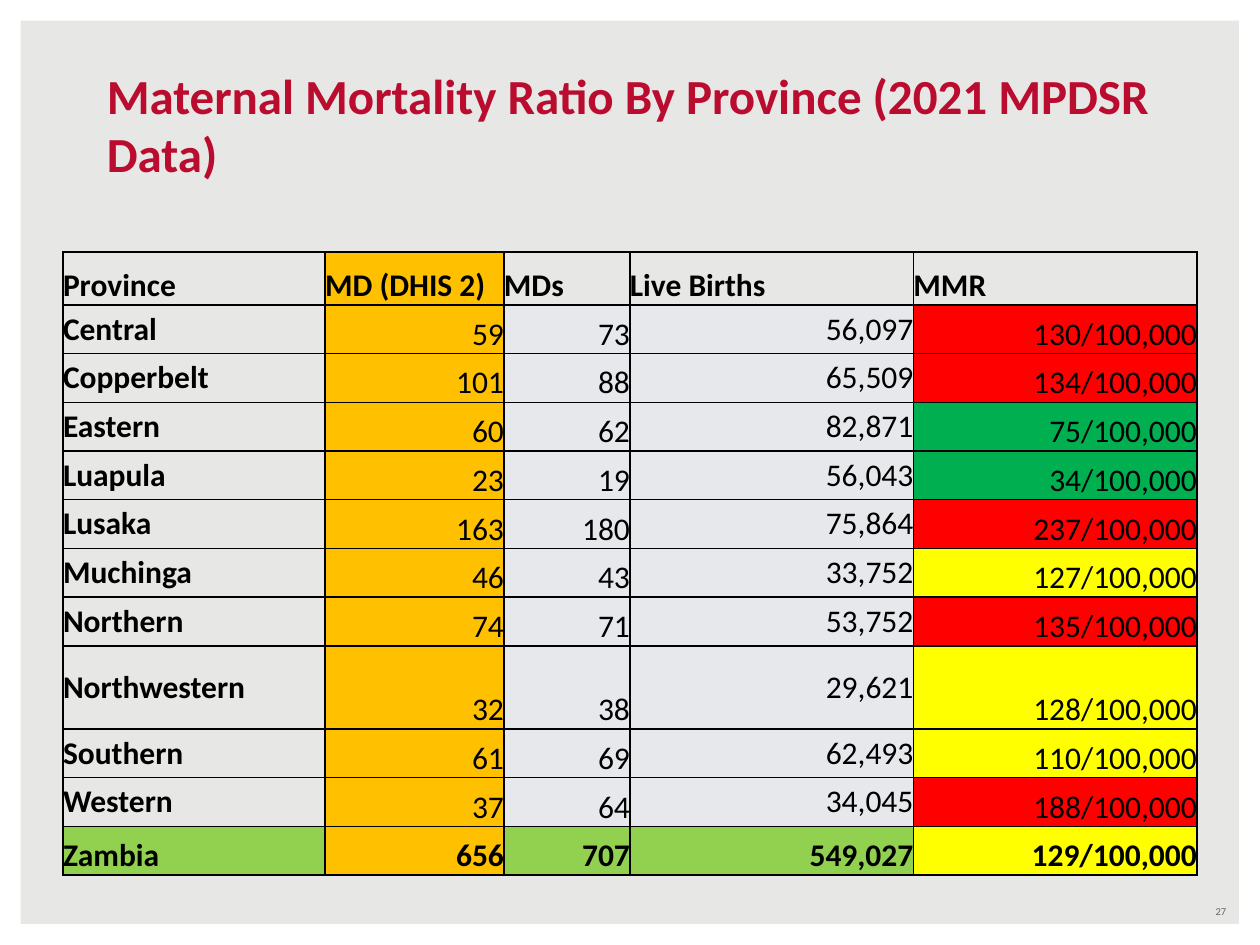
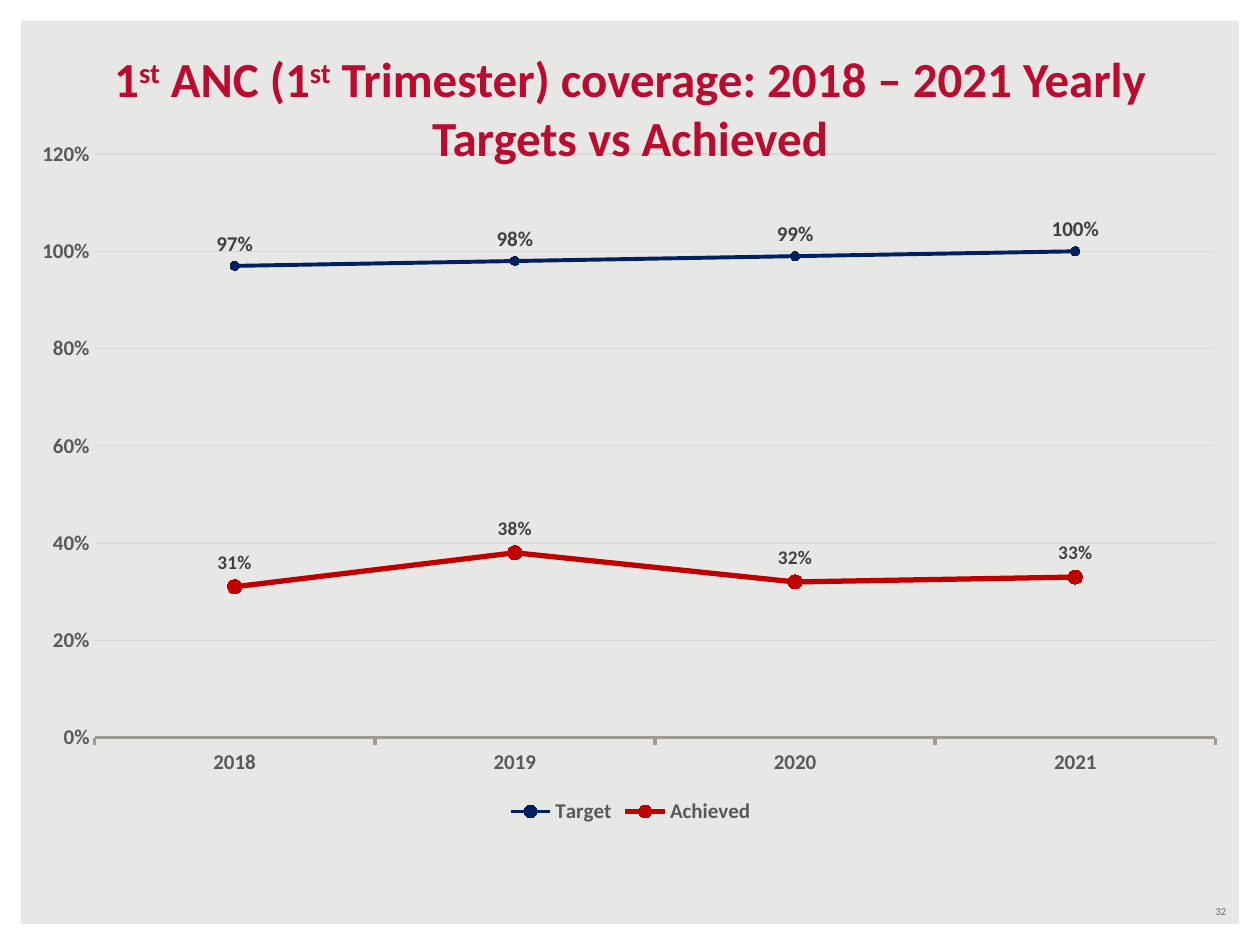
"""Build two maternal health slides: a provincial table and a coverage chart."""
from typing import NamedTuple

from lxml import etree
from pptx import Presentation
from pptx.chart.data import CategoryChartData
from pptx.dml.color import RGBColor
from pptx.enum.chart import (XL_CHART_TYPE, XL_LABEL_POSITION, XL_LEGEND_POSITION,
                             XL_MARKER_STYLE, XL_TICK_MARK)
from pptx.enum.shapes import MSO_SHAPE
from pptx.enum.text import MSO_ANCHOR, PP_ALIGN
from pptx.oxml import parse_xml
from pptx.oxml.ns import nsdecls, qn
from pptx.util import Inches, Pt

LEFT, CENTER, RIGHT = PP_ALIGN.LEFT, PP_ALIGN.CENTER, PP_ALIGN.RIGHT
MIDDLE, BOTTOM = MSO_ANCHOR.MIDDLE, MSO_ANCHOR.BOTTOM
LINE_MARKERS = XL_CHART_TYPE.LINE_MARKERS
LEGEND_BOTTOM = XL_LEGEND_POSITION.BOTTOM
LABEL_ABOVE = XL_LABEL_POSITION.ABOVE
CIRCLE = XL_MARKER_STYLE.CIRCLE
TICK_NONE, TICK_OUT = XL_TICK_MARK.NONE, XL_TICK_MARK.OUTSIDE

FONT = "Calibri"
PAPER = RGBColor(0xE7, 0xE7, 0xE5)
WHITE = RGBColor(0xFF, 0xFF, 0xFF)
BLACK = RGBColor(0, 0, 0)
CRIMSON = RGBColor(0xBA, 0x0C, 0x2F)
PAGE_GREY = RGBColor(0x6C, 0x64, 0x63)
AMBER = RGBColor(0xFF, 0xC0, 0x00)
PALE = RGBColor(0xE7, 0xE8, 0xEB)
LIME = RGBColor(0x92, 0xD0, 0x50)
RED = RGBColor(0xFF, 0, 0)
YELLOW = RGBColor(0xFF, 0xFF, 0)
GREEN = RGBColor(0, 0xB0, 0x50)
NAVY = RGBColor(0, 0x20, 0x60)
DARK_RED = RGBColor(0xC0, 0, 0)
AXIS_TEXT = RGBColor(0x59, 0x59, 0x59)
LABEL_TEXT = RGBColor(0x40, 0x40, 0x40)
AXIS_LINE = RGBColor(0x9F, 0x9B, 0x93)
GRID_LINE = RGBColor(0xD9, 0xD9, 0xD9)

WIDTH, HEIGHT = Inches(10), Inches(7.5)
GRID_COLS, GRID_ROWS = 100, 75


class Box(NamedTuple):
    """A place on the grid: left, top, width and height."""
    col: float
    row: float
    cols: float
    rows: float

    def emu(self) -> tuple:
        """Return the place in slide units."""
        return (across(self.col), down(self.row), across(self.cols), down(self.rows))


class Style(NamedTuple):
    """How a piece of text looks."""
    size: float
    color: RGBColor
    bold: bool = False


class Province(NamedTuple):
    """One row of the mortality table."""
    name: str
    dhis_deaths: str
    deaths: str
    births: str
    ratio: int


class Trend(NamedTuple):
    """One line of the coverage chart."""
    name: str
    values: tuple
    color: RGBColor
    width: float
    marker: int
    label: Style


TITLE = Style(28, CRIMSON, True)
PAGE = Style(6, PAGE_GREY)
AXIS = Style(12, AXIS_TEXT, True)
FRAME_BOX = Box(0, 0, GRID_COLS, GRID_ROWS)
PAGE_BOX = Box(75, 71.3, 23.3, 2)
TABLE_BOX = Box(5, 20, 90, 49.5)
CHART_BOX = Box(1.7, 10, 96.7, 55.8)

HEADERS = ("Province", "MD (DHIS 2)", "MDs", "Live Births", "MMR")
COLUMN_COLS = (20.8, 14.2, 10, 22.5, 22.5)
HEADER_ROWS, BODY_ROWS, TALL_ROWS = 4.2, 3.87, 6.6
TALL_PROVINCE, TOTAL = "Northwestern", "Zambia"
PROVINCES = (
    Province("Central", "59", "73", "56,097", 130),
    Province("Copperbelt", "101", "88", "65,509", 134),
    Province("Eastern", "60", "62", "82,871", 75),
    Province("Luapula", "23", "19", "56,043", 34),
    Province("Lusaka", "163", "180", "75,864", 237),
    Province("Muchinga", "46", "43", "33,752", 127),
    Province("Northern", "74", "71", "53,752", 135),
    Province(TALL_PROVINCE, "32", "38", "29,621", 128),
    Province("Southern", "61", "69", "62,493", 110),
    Province("Western", "37", "64", "34,045", 188),
    Province(TOTAL, "656", "707", "549,027", 129),
)
YEARS = ("2018", "2019", "2020", "2021")
TRENDS = (
    Trend("Target", (0.97, 0.98, 0.99, 1), NAVY, 2.25, 5, Style(12, LABEL_TEXT, True)),
    Trend("Achieved", (0.31, 0.38, 0.32, 0.33), DARK_RED, 3, 8, Style(11, LABEL_TEXT, True)),
)
PLOT_SHARES = {"x": 0.06, "y": 0.04, "w": 0.92, "h": 0.83}


def across(cols: float) -> int:
    """Convert grid columns to a length."""
    return round(WIDTH * cols / GRID_COLS)


def down(rows: float) -> int:
    """Convert grid rows to a length."""
    return round(HEIGHT * rows / GRID_ROWS)


def set_font(font, style: Style) -> None:
    """Apply a style to a font."""
    font.name, font.size, font.bold = FONT, Pt(style.size), style.bold
    font.color.rgb = style.color


def add_run(p, text: str, style: Style, raised: bool = False) -> None:
    """Add one run, raised when it is a superscript."""
    r = p.add_run()
    r.text = text
    set_font(r.font, style)
    if raised:
        r._r.get_or_add_rPr().set("baseline", "30000")


def add_text(slide, box: Box, parts: tuple, style: Style, align, anchor) -> None:
    """Add a text box whose odd parts are superscripts."""
    tf = slide.shapes.add_textbox(*box.emu()).text_frame
    tf.word_wrap, tf.vertical_anchor = True, anchor
    p = tf.paragraphs[0]
    p.alignment = align
    for i, part in enumerate(parts):
        add_run(p, part, style, raised=i % 2 == 1)


def add_base(prs, number: str):
    """Add a slide with the shared background, frame and page number."""
    slide = prs.slides.add_slide(prs.slide_layouts[6])
    fill = slide.background.fill
    fill.solid()
    fill.fore_color.rgb = PAPER
    sp = slide.shapes.add_shape(MSO_SHAPE.FRAME, *FRAME_BOX.emu())
    sp.adjustments[0] = 0.022
    sp.shadow.inherit = False
    sp.fill.solid()
    sp.fill.fore_color.rgb = WHITE
    sp.line.fill.background()
    add_text(slide, PAGE_BOX, (number,), PAGE, RIGHT, MIDDLE)
    return slide


def add_borders(cell) -> None:
    """Draw a thin black line on each side of a cell."""
    tc_pr = cell._tc.get_or_add_tcPr()
    for i, side in enumerate("LRTB"):
        tc_pr.insert(i, parse_xml(
            f'<a:ln{side} {nsdecls("a")} w="{Pt(1)}"><a:solidFill>'
            f'<a:srgbClr val="{BLACK}"/></a:solidFill></a:ln{side}>'))


def fill_cell(cell, text: str, bold: bool, align, anchor, color) -> None:
    """Write one table cell."""
    cell.margin_left = cell.margin_right = cell.margin_top = cell.margin_bottom = 0
    cell.vertical_anchor = anchor
    if color is None:
        cell.fill.background()
    else:
        cell.fill.solid()
        cell.fill.fore_color.rgb = color
    add_borders(cell)
    p = cell.text_frame.paragraphs[0]
    p.alignment = align
    add_run(p, text, Style(18, BLACK, bold))


def ratio_color(ratio: int) -> RGBColor:
    """Pick the traffic-light colour of a mortality ratio."""
    if ratio < 100:
        return GREEN
    return YELLOW if ratio < 130 else RED


def add_mortality_table(slide) -> None:
    """Add the table of deaths, births and ratios by province."""
    shape = slide.shapes.add_table(len(PROVINCES) + 1, len(HEADERS), *TABLE_BOX.emu())
    table = shape.table
    table.first_row = table.horz_banding = False
    for column, cols in zip(table.columns, COLUMN_COLS):
        column.width = across(cols)
    table.rows[0].height = down(HEADER_ROWS)
    for c, header in enumerate(HEADERS):
        fill_cell(table.cell(0, c), header, True, LEFT, BOTTOM, AMBER if c == 1 else None)
    for i, province in enumerate(PROVINCES, 1):
        tall, total = province.name == TALL_PROVINCE, province.name == TOTAL
        table.rows[i].height = down(TALL_ROWS if tall else BODY_ROWS)
        texts = (*province[:4], f"{province.ratio}/100,000")
        base = LIME if total else PALE
        colors = (LIME if total else None, AMBER, base, base, ratio_color(province.ratio))
        for c, (text, color) in enumerate(zip(texts, colors)):
            anchor = MIDDLE if c in (0, 3) and not total else BOTTOM
            fill_cell(table.cell(i, c), text, total or c == 0,
                      RIGHT if c else LEFT, anchor, color)


def place_plot(chart) -> None:
    """Fix the inner plot area as shares of the chart."""
    area = chart._chartSpace.chart.plotArea
    for old in area.findall(qn("c:layout")):
        area.remove(old)
    layout = etree.Element(qn("c:layout"))
    manual = etree.SubElement(layout, qn("c:manualLayout"))
    settings = {"layoutTarget": "inner", "xMode": "edge", "yMode": "edge", **PLOT_SHARES}
    for tag, value in settings.items():
        etree.SubElement(manual, qn(f"c:{tag}")).set("val", str(value))
    area.insert(0, layout)


def style_trend(series, trend: Trend) -> None:
    """Colour one line with its markers and labels."""
    series.smooth = False
    series.format.line.color.rgb = trend.color
    series.format.line.width = Pt(trend.width)
    marker = series.marker
    marker.style, marker.size = CIRCLE, trend.marker
    marker.format.fill.solid()
    marker.format.fill.fore_color.rgb = trend.color
    marker.format.line.color.rgb = trend.color
    labels = series.data_labels
    labels.show_value, labels.position = True, LABEL_ABOVE
    labels.number_format, labels.number_format_is_linked = "0%", False
    set_font(labels.font, trend.label)


def add_coverage_chart(slide) -> None:
    """Add the line chart of yearly targets and results."""
    data = CategoryChartData(number_format="0%")
    data.categories = YEARS
    for trend in TRENDS:
        data.add_series(trend.name, trend.values)
    chart = slide.shapes.add_chart(LINE_MARKERS, *CHART_BOX.emu(), data).chart
    set_font(chart.font, Style(10, BLACK))
    chart.has_title = False
    chart.has_legend = True
    chart.legend.position, chart.legend.include_in_layout = LEGEND_BOTTOM, False
    set_font(chart.legend.font, AXIS)
    years, shares = chart.category_axis, chart.value_axis
    for axis, tick in ((years, TICK_OUT), (shares, TICK_NONE)):
        axis.major_tick_mark, axis.minor_tick_mark = tick, TICK_NONE
        set_font(axis.tick_labels.font, AXIS)
    years.format.line.color.rgb = AXIS_LINE
    years.format.line.width = Pt(2)
    shares.minimum_scale, shares.maximum_scale, shares.major_unit = 0, 1.2, 0.2
    shares.format.line.fill.background()
    shares.tick_labels.number_format = "0%"
    shares.tick_labels.number_format_is_linked = False
    grid = shares.major_gridlines.format.line
    grid.color.rgb, grid.width = GRID_LINE, Pt(0.75)
    chart.plots[0].vary_by_categories = False
    for series, trend in zip(chart.plots[0].series, TRENDS):
        style_trend(series, trend)
    place_plot(chart)


def main() -> None:
    """Build and save the presentation."""
    prs = Presentation()
    prs.slide_width, prs.slide_height = WIDTH, HEIGHT
    slide = add_base(prs, "27")
    add_text(slide, Box(7.5, 4.6, 85, 10.4),
             ("Maternal Mortality Ratio By Province (2021 MPDSR Data)",), TITLE, LEFT, BOTTOM)
    add_mortality_table(slide)
    slide = add_base(prs, "32")
    add_coverage_chart(slide)
    add_text(slide, Box(2.9, 3.3, 94.2, 10.4),
             ("1", "st", " ANC (1", "st",
              " Trimester) coverage: 2018 – 2021 Yearly Targets vs Achieved"),
             TITLE, CENTER, BOTTOM)
    prs.save("out.pptx")


if __name__ == "__main__":
    main()
